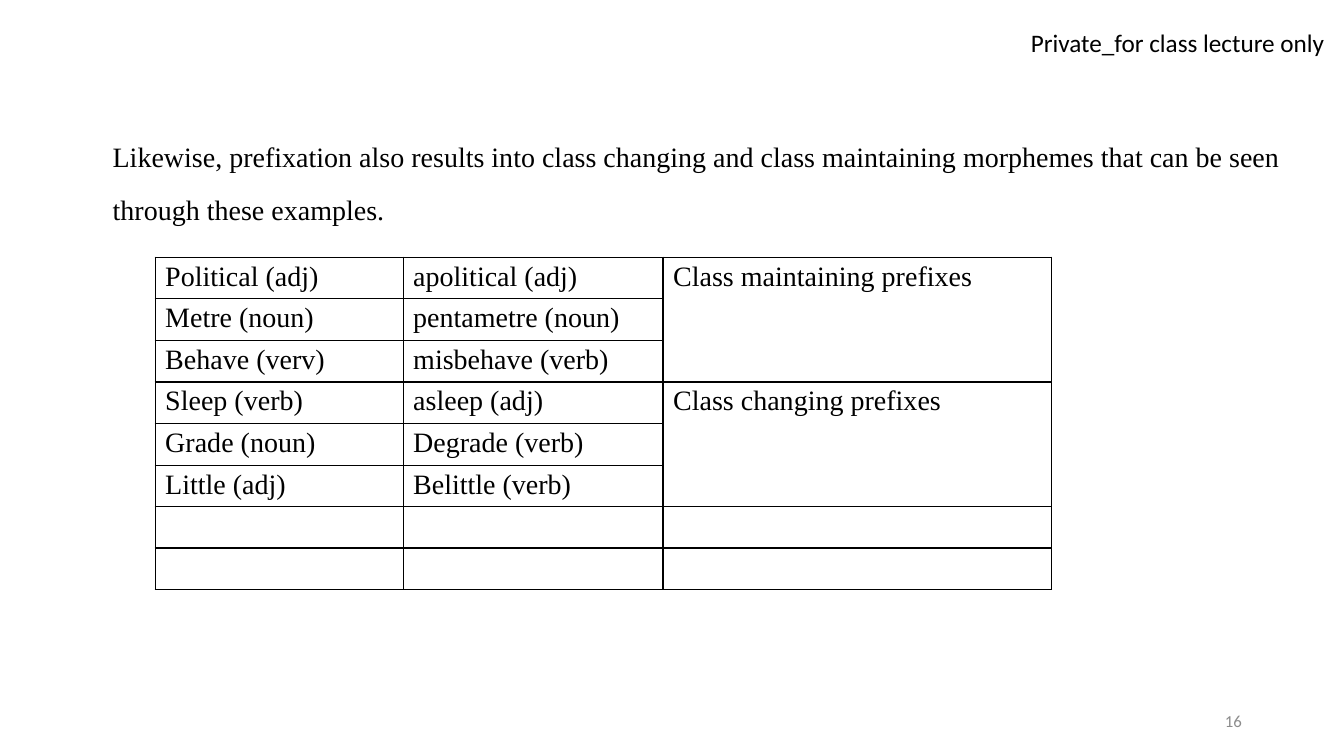
from lxml.etree import SubElement
from pptx import Presentation
from pptx.dml.color import RGBColor
from pptx.enum.text import MSO_ANCHOR as Anchor, PP_ALIGN as Align
from pptx.oxml.ns import qn
from pptx.util import Cm, Pt

COLORS = {"text": "000000", "number": "8C8C8C", "border": "000000"}
SERIF, SANS = "Times New Roman", "Calibri"

COLUMN_WIDTHS = [6.25, 6.55, 9.78]
ROW_HEIGHT = 1.04
GROUPS = [
    ("Class maintaining prefixes", [
        ("Political (adj)", "apolitical (adj)"),
        ("Metre (noun)", "pentametre (noun)"),
        ("Behave (verv)", "misbehave (verb)"),
    ]),
    ("Class changing prefixes", [
        ("Sleep (verb)", "asleep (adj)"),
        ("Grade (noun)", "Degrade (verb)"),
        ("Little (adj)", "Belittle (verb)"),
    ]),
]
EMPTY_ROWS = 2


def set_all(target, values):
    for name, value in values.items():
        setattr(target, name, value)


def write(para, text, font, size, color="text"):
    span = para.add_run()
    span.text = text
    set_all(span.font, {"name": font, "size": Pt(size)})
    span.font.color.rgb = RGBColor.from_string(COLORS[color])


def add_text(page, box, text, font, size, color="text", frame=None, para=None):
    """Place one paragraph of text; frame and para hold format values."""
    text_frame = page.shapes.add_textbox(*map(Cm, box)).text_frame
    set_all(text_frame, {"word_wrap": True, **(frame or {})})
    first = text_frame.paragraphs[0]
    set_all(first, para or {})
    write(first, text, font, size, color)


def add_borders(cell):
    properties = cell._tc.get_or_add_tcPr()
    for position, side in enumerate(("lnL", "lnR", "lnT", "lnB")):
        line = properties.makeelement(qn(f"a:{side}"), {"w": str(Pt(1))})
        fill = SubElement(line, qn("a:solidFill"))
        SubElement(fill, qn("a:srgbClr"), val=COLORS["border"])
        properties.insert(position, line)


def add_header(page, box):
    add_text(page, box, "Private_for class lecture only", SANS, 18,
             frame={"word_wrap": False})


def add_intro(page, box):
    add_text(page, box,
             "Likewise, prefixation also results into class changing and class "
             "maintaining morphemes that can be seen through these examples.",
             SERIF, 20, frame={"margin_top": Cm(1.45)},
             para={"line_spacing": 1.58})


def add_page_number(page, box):
    add_text(page, box, "16", SANS, 12, "number",
             frame={"vertical_anchor": Anchor.MIDDLE},
             para={"alignment": Align.RIGHT})


def add_prefix_table(page, left, top):
    row_count = sum(len(pairs) for _, pairs in GROUPS) + EMPTY_ROWS
    table = page.shapes.add_table(
        row_count, len(COLUMN_WIDTHS), Cm(left), Cm(top),
        Cm(sum(COLUMN_WIDTHS)), Cm(ROW_HEIGHT * row_count)).table
    set_all(table, {"first_row": False, "horz_banding": False})
    for column, width in zip(table.columns, COLUMN_WIDTHS):
        column.width = Cm(width)
    for row in table.rows:
        row.height = Cm(ROW_HEIGHT)

    # Plain cells with a thin frame
    for cell in table.iter_cells():
        set_all(cell, {"margin_top": Cm(0.1), "margin_bottom": Cm(0.1)})
        cell.fill.background()
        add_borders(cell)

    # Word pairs, with one merged label for each group
    start = 0
    for label, pairs in GROUPS:
        end = start + len(pairs) - 1
        table.cell(start, 2).merge(table.cell(end, 2))
        write(table.cell(start, 2).text_frame.paragraphs[0], label, SERIF, 20)
        for row, pair in enumerate(pairs, start):
            for column, word in enumerate(pair):
                para = table.cell(row, column).text_frame.paragraphs[0]
                write(para, word, SERIF, 20)
        start = end + 1


def main():
    deck = Presentation()
    set_all(deck, {"slide_width": Cm(33.87), "slide_height": Cm(19.05)})
    page = deck.slides.add_slide(deck.slide_layouts[6])
    add_header(page, (25.73, 0.56, 8, 1.02))
    add_intro(page, (2.59, 1.57, 31.06, 16.08))
    add_page_number(page, (23.93, 17.65, 7.62, 1.02))
    add_prefix_table(page, 3.91, 6.48)
    deck.save("out.pptx")


if __name__ == "__main__":
    main()
